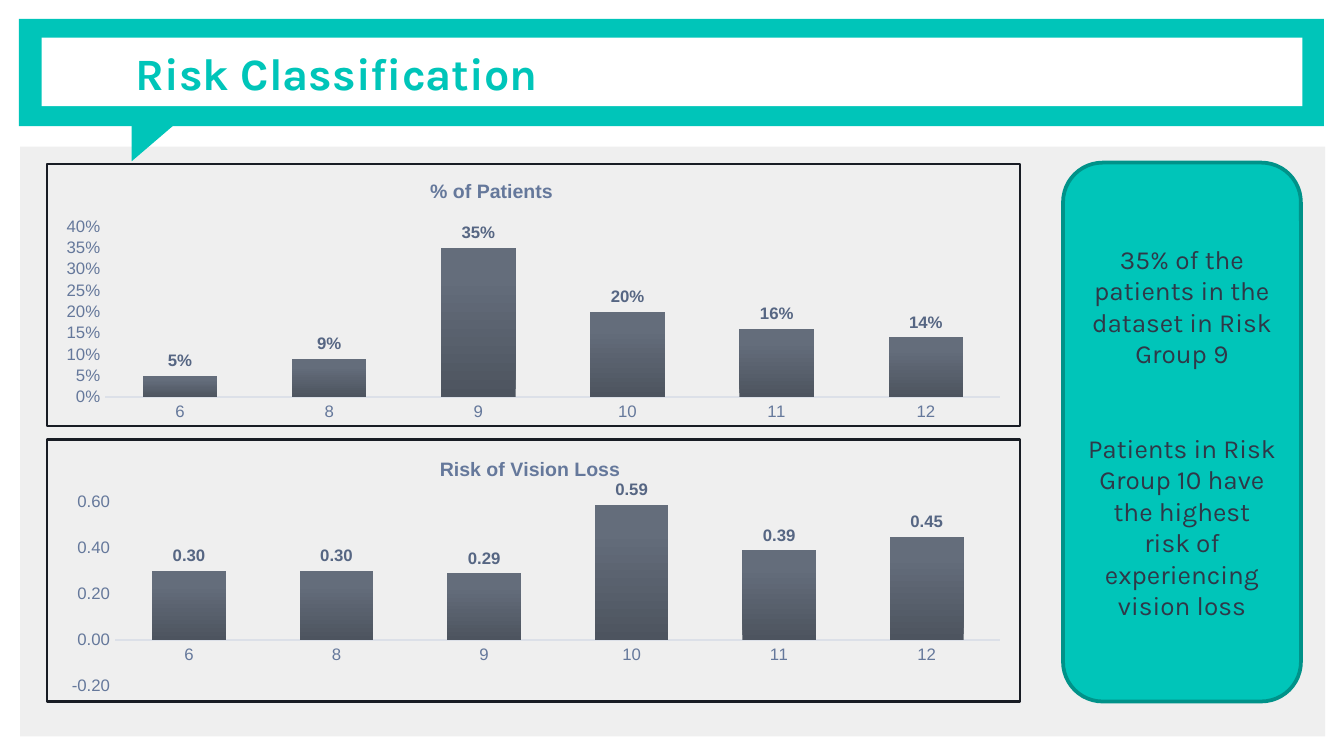
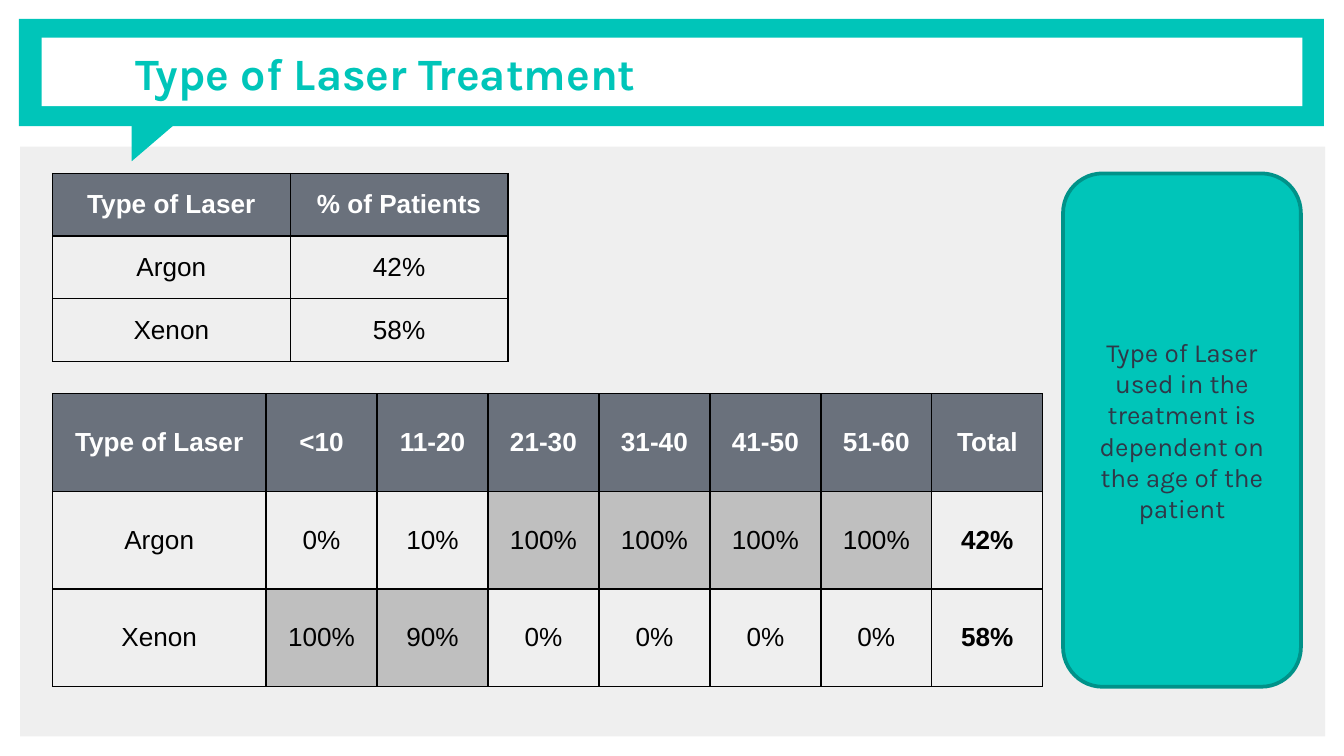
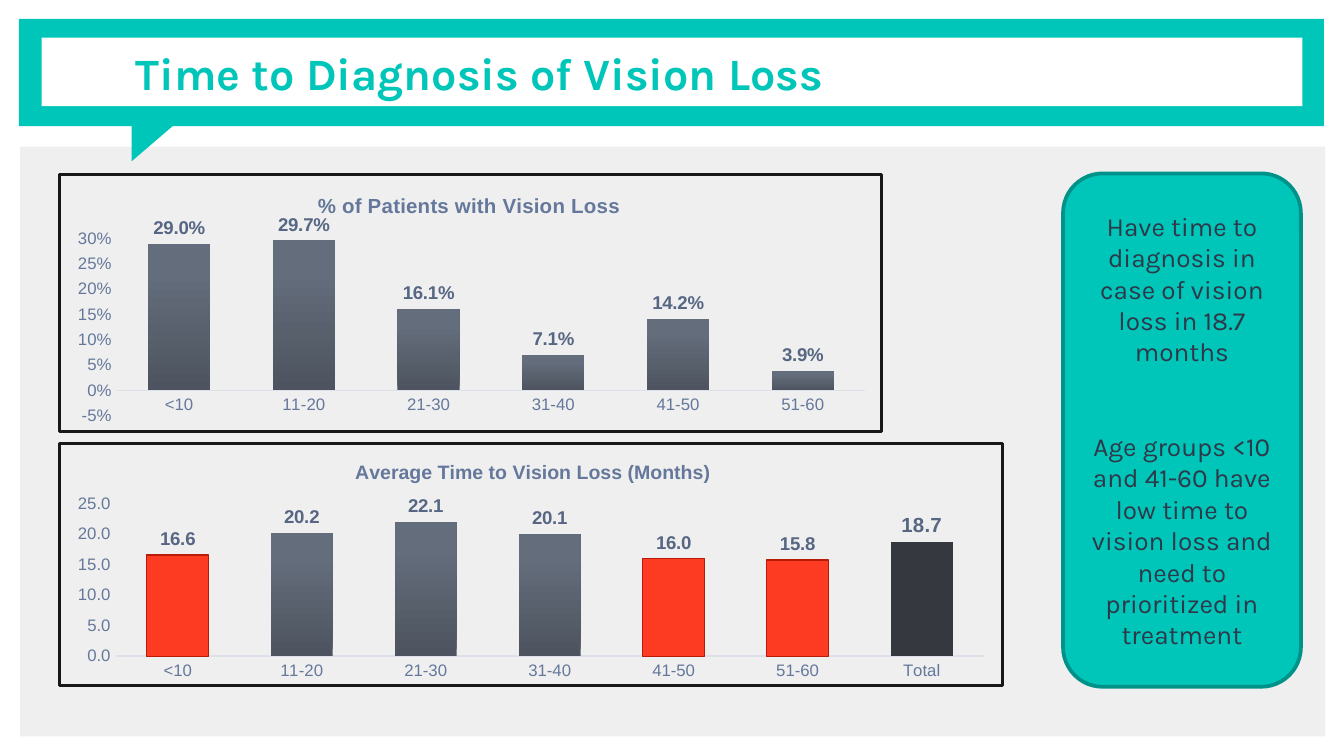
from dataclasses import dataclass, field
from typing import Any, Optional

from pptx import Presentation
from pptx.chart.chart import Chart
from pptx.chart.data import CategoryChartData
from pptx.dml.color import RGBColor
from pptx.enum.chart import XL_CHART_TYPE, XL_LABEL_POSITION, XL_TICK_MARK
from pptx.enum.shapes import MSO_SHAPE as SHAPE
from pptx.enum.text import MSO_ANCHOR as ANCHOR, MSO_AUTO_SIZE, PP_ALIGN as ALIGN
from pptx.oxml import parse_xml
from pptx.oxml.ns import nsdecls, qn
from pptx.slide import Slide
from pptx.util import Inches, Pt

TEAL = RGBColor(0x00, 0xC5, 0xB9)
DARK_TEAL = RGBColor(0x00, 0x92, 0x89)
PANEL = RGBColor(0xEF, 0xEF, 0xEF)
WHITE = RGBColor(0xFF, 0xFF, 0xFF)
BLACK = RGBColor(0x00, 0x00, 0x00)
NAVY = RGBColor(0x2F, 0x38, 0x48)
AXIS_TEXT = RGBColor(0x65, 0x78, 0x9B)
AXIS_LINE = RGBColor(0xDC, 0xE0, 0xE8)
LABEL_TEXT = RGBColor(0x56, 0x66, 0x83)
BAR_DARK = RGBColor(0x4D, 0x54, 0x5F)
BAR_LIGHT = RGBColor(0x64, 0x6D, 0x7B)
RED = RGBColor(0xFC, 0x3B, 0x22)
DARK_RED = RGBColor(0xB8, 0x1C, 0x08)
TOTAL = RGBColor(0x35, 0x38, 0x3E)
HEADER = RGBColor(0x6A, 0x71, 0x7C)
HIGHLIGHT = RGBColor(0xBF, 0xBF, 0xBF)
BORDER_NAVY = RGBColor(0x18, 0x1C, 0x24)
BORDER_BLACK = RGBColor(0x18, 0x18, 0x18)

HEADING = "Karla"
BODY = "Arial"
AGES = ["<10", "11-20", "21-30", "31-40", "41-50", "51-60"]
RISK_GROUPS = ["6", "8", "9", "10", "11", "12"]


@dataclass
class Box:
    left: float
    top: float
    width: float
    height: float

    def emu(self) -> tuple:
        return tuple(Inches(v) for v in (self.left, self.top, self.width, self.height))


@dataclass
class Block:
    kind: Any
    box: Box
    color: RGBColor
    rotation: float = 0


@dataclass
class Card:
    top: float
    height: float
    paragraphs: list[str]


@dataclass
class BarChart:
    title: str
    box: Box
    categories: list[str]
    values: list[float]
    scale: tuple[float, float, float]
    axis_format: str
    label_format: str
    title_at: tuple[float, float]
    plot_at: tuple[float, float, float, float]
    border: RGBColor
    label_size: float = 9
    title_size: float = 10.5
    alerts: list[int] = field(default_factory=list)
    total: Optional[int] = None


@dataclass
class Grid:
    box: Box
    first_width: float
    rows: list[list[str]]
    highlights: set[tuple[int, int]] = field(default_factory=set)
    total_column: Optional[int] = None


@dataclass
class Page:
    title: str
    card: Card
    charts: list[BarChart] = field(default_factory=list)
    grids: list[Grid] = field(default_factory=list)


FRAME = [
    Block(SHAPE.RECTANGLE, Box(0.15, 1.09, 9.71, 4.39), PANEL),
    Block(SHAPE.RECTANGLE, Box(0.14, 0.14, 9.71, 0.8), TEAL),
    Block(SHAPE.RIGHT_TRIANGLE, Box(1.01, 0.81, 0.36, 0.42), TEAL, 90),
    Block(SHAPE.RECTANGLE, Box(0.31, 0.28, 9.38, 0.51), WHITE),
]

PAGES = [
    Page(
        "Risk Classification",
        Card(1.21, 4.01, [
            "35% of the patients in the dataset in Risk Group 9",
            "Patients in Risk Group 10 have the highest risk of experiencing vision loss",
        ]),
        charts=[
            BarChart("% of Patients", Box(0.34, 1.21, 7.26, 1.97), RISK_GROUPS,
                     [0.05, 0.09, 0.35, 0.20, 0.16, 0.14], (0, 0.4, 0.05), "0%", "0%",
                     (0.39, 0.04), (0.06, 0.24, 0.92, 0.65), BORDER_NAVY),
            BarChart("Risk of Vision Loss", Box(0.34, 3.26, 7.26, 1.97), RISK_GROUPS,
                     [0.30, 0.30, 0.29, 0.59, 0.39, 0.45], (-0.2, 0.6, 0.2), "0.00", "0.00",
                     (0.4, 0.05), (0.07, 0.24, 0.91, 0.7), BORDER_NAVY),
        ],
    ),
    Page(
        "Type of Laser Treatment",
        Card(1.29, 3.82, [
            "Type of Laser used in the treatment is dependent on the age of the patient",
        ]),
        grids=[
            Grid(Box(0.39, 1.29, 3.39, 1.4), 1.77, [
                ["Type of Laser", "% of Patients"],
                ["Argon", "42%"],
                ["Xenon", "58%"],
            ]),
            Grid(Box(0.39, 2.93, 7.37, 2.18), 1.59, [
                ["Type of Laser", *AGES, "Total"],
                ["Argon", "0%", "10%", "100%", "100%", "100%", "100%", "42%"],
                ["Xenon", "100%", "90%", "0%", "0%", "0%", "0%", "58%"],
            ], {(1, 3), (1, 4), (1, 5), (1, 6), (2, 1), (2, 2)}, 7),
        ],
    ),
    Page(
        "Time to Diagnosis of Vision Loss",
        Card(1.29, 3.82, [
            "Have time to diagnosis in case of vision loss in 18.7 months",
            "Age groups <10 and 41-60 have low time to vision loss and need to "
            "prioritized in treatment",
        ]),
        charts=[
            BarChart("Average Time to Vision Loss (Months)", Box(0.43, 3.29, 7.04, 1.82),
                     [*AGES, "Total"], [16.6, 20.2, 22.1, 20.1, 16.0, 15.8, 18.7],
                     (0, 25, 5), "0.0", "0.0", (0.31, 0.05), (0.06, 0.25, 0.92, 0.63),
                     BORDER_BLACK, label_size=10, alerts=[0, 4, 5], total=6),
            BarChart("% of Patients with Vision Loss", Box(0.43, 1.29, 6.14, 1.93), AGES,
                     [0.29, 0.297, 0.161, 0.071, 0.142, 0.039], (-0.05, 0.3, 0.05),
                     "0%", "0.0%", (0.31, 0.05), (0.07, 0.25, 0.91, 0.69),
                     BORDER_BLACK, label_size=10, title_size=11),
        ],
    ),
]


def apply(target: Any, formats: dict[str, Any]) -> None:
    for name, value in formats.items():
        setattr(target, name, value)


def set_font(font: Any, name: str, size: float, color: RGBColor, bold: bool = False) -> None:
    apply(font, {"name": name, "size": Pt(size), "bold": bold})
    font.color.rgb = color


def paint(sp: Any, color: RGBColor) -> None:
    sp.shadow.inherit = False
    sp.fill.solid()
    sp.fill.fore_color.rgb = color


def build_layout(layout: Any, slide: Slide) -> None:
    for ph in list(layout.placeholders):
        if ph.placeholder_format.idx >= 10:
            ph.element.getparent().remove(ph.element)
    title_box = Box(0.91, 0.14, 8.7, 0.8)
    title = layout.placeholders[0]
    apply(title, dict(zip(("left", "top", "width", "height"), title_box.emu())))
    for i, block in enumerate(FRAME):
        sp = slide.shapes.add_shape(block.kind, *block.box.emu())
        paint(sp, block.color)
        sp.line.fill.background()
        sp.rotation = block.rotation
        sp.element.nvSpPr.cNvPr.set("id", str(20 + i))
        layout.shapes.element.insert(2 + i, sp.element)


def set_title(slide: Slide, text: str) -> None:
    tf = slide.shapes.title.text_frame
    sides = ("left", "top", "right", "bottom")
    apply(tf, {"text": text, "word_wrap": True, "auto_size": MSO_AUTO_SIZE.NONE,
               "vertical_anchor": ANCHOR.MIDDLE,
               **{f"margin_{side}": Inches(0.1) for side in sides}})
    p = tf.paragraphs[0]
    p.alignment = ALIGN.LEFT
    set_font(p.runs[0].font, HEADING, 24, TEAL, True)


def add_card(slide: Slide, card: Card) -> None:
    box = Box(7.91, card.top, 1.77, card.height)
    sp = slide.shapes.add_shape(SHAPE.ROUNDED_RECTANGLE, *box.emu())
    paint(sp, TEAL)
    sp.line.color.rgb = DARK_TEAL
    sp.line.width = Pt(2)
    tf = sp.text_frame
    apply(tf, {"word_wrap": True, "vertical_anchor": ANCHOR.MIDDLE})
    for i, text in enumerate(card.paragraphs):
        p = tf.add_paragraph() if i else tf.paragraphs[0]
        p.alignment = ALIGN.CENTER
        if i:
            p.space_before = Pt(34)
        r = p.add_run()
        r.text = text
        set_font(r.font, HEADING, 14, NAVY)


def place(parent: Any, index: int, spots: tuple[float, ...]) -> None:
    current = parent.find(qn("c:layout"))
    if current is not None:
        parent.remove(current)
    target = '<c:layoutTarget val="inner"/>' if len(spots) == 4 else ""
    modes = "".join(f'<c:{k}Mode val="edge"/>' for k in "xy")
    sizes = "".join(f'<c:{k} val="{v}"/>' for k, v in zip("xywh", spots))
    parent.insert(index, parse_xml(
        f'<c:layout {nsdecls("c")}><c:manualLayout>{target}{modes}{sizes}'
        "</c:manualLayout></c:layout>"))


def set_border(chart: Chart, color: RGBColor) -> None:
    chart.element.find(qn("c:chart")).addnext(parse_xml(
        f'<c:spPr {nsdecls("c", "a")}><a:noFill/><a:ln w="{Pt(1.5)}"><a:solidFill>'
        f'<a:srgbClr val="{color}"/></a:solidFill></a:ln></c:spPr>'))


def format_axes(chart: Chart, bars: BarChart) -> None:
    low, high, step = bars.scale
    for axis in (chart.category_axis, chart.value_axis):
        apply(axis, {"has_major_gridlines": False, "major_tick_mark": XL_TICK_MARK.NONE,
                     "minor_tick_mark": XL_TICK_MARK.NONE})
        set_font(axis.tick_labels.font, BODY, 9, AXIS_TEXT)
    line = chart.category_axis.format.line
    line.color.rgb = AXIS_LINE
    line.width = Pt(1)
    axis = chart.value_axis
    apply(axis, {"minimum_scale": low, "maximum_scale": high, "major_unit": step})
    apply(axis.tick_labels, {"number_format": bars.axis_format,
                             "number_format_is_linked": False})
    axis.format.line.fill.background()


def format_bars(chart: Chart, bars: BarChart) -> None:
    plot = chart.plots[0]
    apply(plot, {"gap_width": 100, "overlap": -24, "vary_by_categories": False})
    series = plot.series[0]
    series.invert_if_negative = False
    labels = series.data_labels
    apply(labels, {"show_value": True, "number_format": bars.label_format,
                   "number_format_is_linked": False,
                   "position": XL_LABEL_POSITION.OUTSIDE_END})
    set_font(labels.font, BODY, bars.label_size, LABEL_TEXT, True)
    fill = series.format.fill
    fill.gradient()
    fill.gradient_angle = 90
    for stop, color, position in zip(fill.gradient_stops, (BAR_DARK, BAR_LIGHT), (0, 0.8)):
        stop.color.rgb = color
        stop.position = position
    for i in bars.alerts:
        fmt = series.points[i].format
        fmt.fill.solid()
        fmt.fill.fore_color.rgb = RED
        fmt.line.color.rgb = DARK_RED
        fmt.line.width = Pt(0.75)
    if bars.total is not None:
        point = series.points[bars.total]
        point.format.fill.solid()
        point.format.fill.fore_color.rgb = TOTAL
        set_font(point.data_label.font, BODY, 11, LABEL_TEXT, True)
        point.data_label.position = XL_LABEL_POSITION.OUTSIDE_END


def add_bar_chart(slide: Slide, bars: BarChart) -> None:
    data = CategoryChartData()
    data.categories = bars.categories
    data.add_series(bars.title, bars.values)
    chart = slide.shapes.add_chart(XL_CHART_TYPE.COLUMN_CLUSTERED, *bars.box.emu(), data).chart
    set_font(chart.font, BODY, 10, NAVY)
    apply(chart, {"has_legend": False, "has_title": True})
    title = chart.chart_title
    title.text_frame.text = bars.title
    set_font(title.text_frame.paragraphs[0].runs[0].font, BODY, bars.title_size, AXIS_TEXT, True)
    format_axes(chart, bars)
    format_bars(chart, bars)
    place(title.element, 1, bars.title_at)
    place(chart.element.find(f".//{qn('c:plotArea')}"), 0, bars.plot_at)
    set_border(chart, bars.border)


def add_borders(cell: Any) -> None:
    tc_pr = cell._tc.get_or_add_tcPr()
    for i, side in enumerate("LRTB"):
        tc_pr.insert(i, parse_xml(
            f'<a:ln{side} {nsdecls("a")} w="{Pt(0.75)}"><a:solidFill>'
            f'<a:srgbClr val="{BLACK}"/></a:solidFill></a:ln{side}>'))


def add_grid(slide: Slide, grid: Grid) -> None:
    n_rows, n_cols = len(grid.rows), len(grid.rows[0])
    other_width = (grid.box.width - grid.first_width) / (n_cols - 1)
    table = slide.shapes.add_table(n_rows, n_cols, *grid.box.emu()).table
    table.horz_banding = False
    for j, column in enumerate(table.columns):
        column.width = Inches(other_width if j else grid.first_width)
    for i, row in enumerate(grid.rows):
        for j, text in enumerate(row):
            cell = table.cell(i, j)
            apply(cell, {"text": text, "vertical_anchor": ANCHOR.MIDDLE})
            p = cell.text_frame.paragraphs[0]
            p.alignment = ALIGN.CENTER
            header = i == 0
            set_font(p.runs[0].font, BODY, 14, WHITE if header else BLACK,
                     header or j == grid.total_column)
            if header or (i, j) in grid.highlights:
                cell.fill.solid()
                cell.fill.fore_color.rgb = HEADER if header else HIGHLIGHT
            else:
                cell.fill.background()
            add_borders(cell)


def main() -> None:
    prs = Presentation()
    prs.slide_width = Inches(10)
    prs.slide_height = prs.slide_width * 9 // 16
    layout = prs.slide_layouts[5]
    slides = [prs.slides.add_slide(layout) for _ in PAGES]
    build_layout(layout, slides[0])
    for slide, page in zip(slides, PAGES):
        set_title(slide, page.title)
        add_card(slide, page.card)
        for bars in page.charts:
            add_bar_chart(slide, bars)
        for grid in page.grids:
            add_grid(slide, grid)
    prs.save("out.pptx")


if __name__ == "__main__":
    main()
